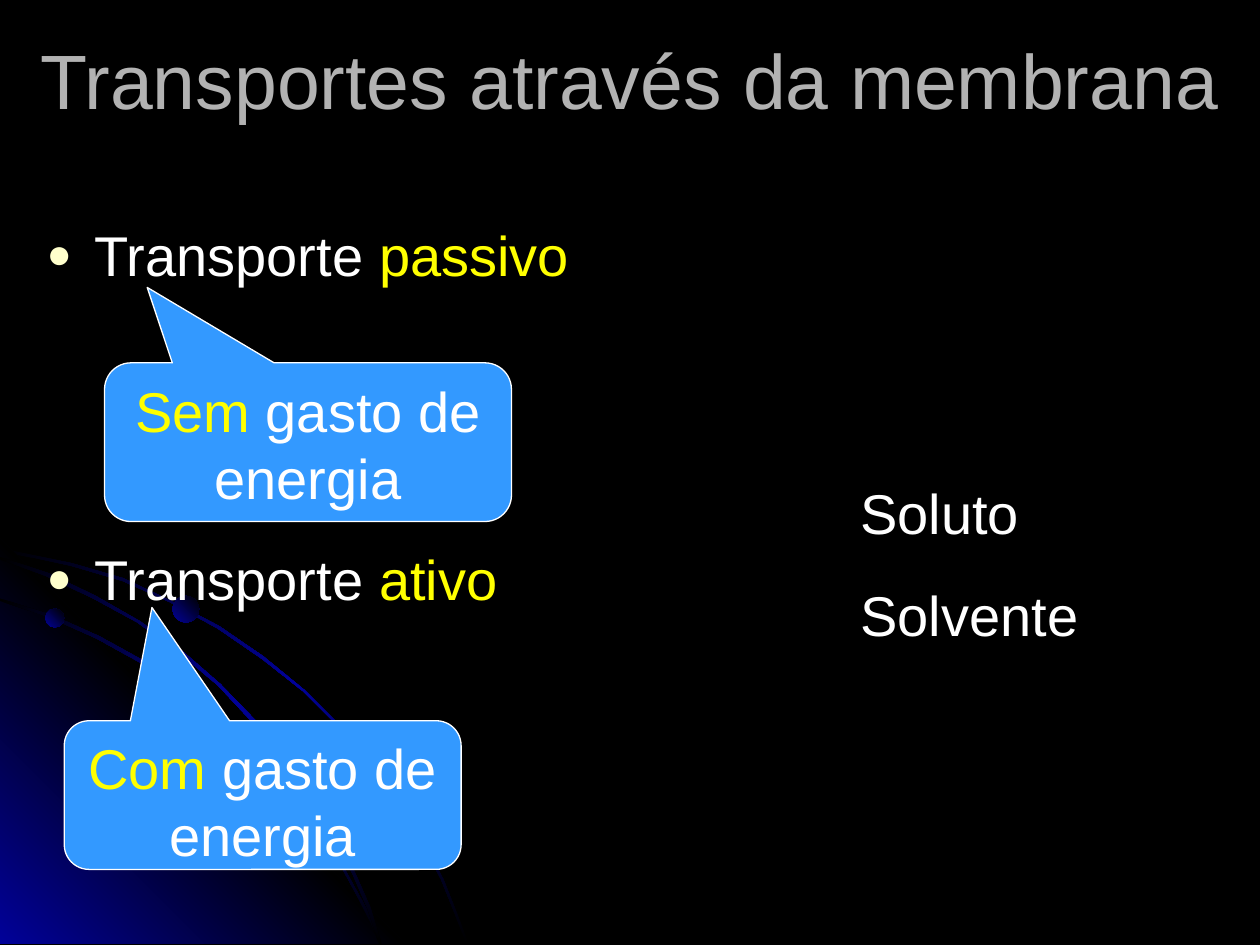
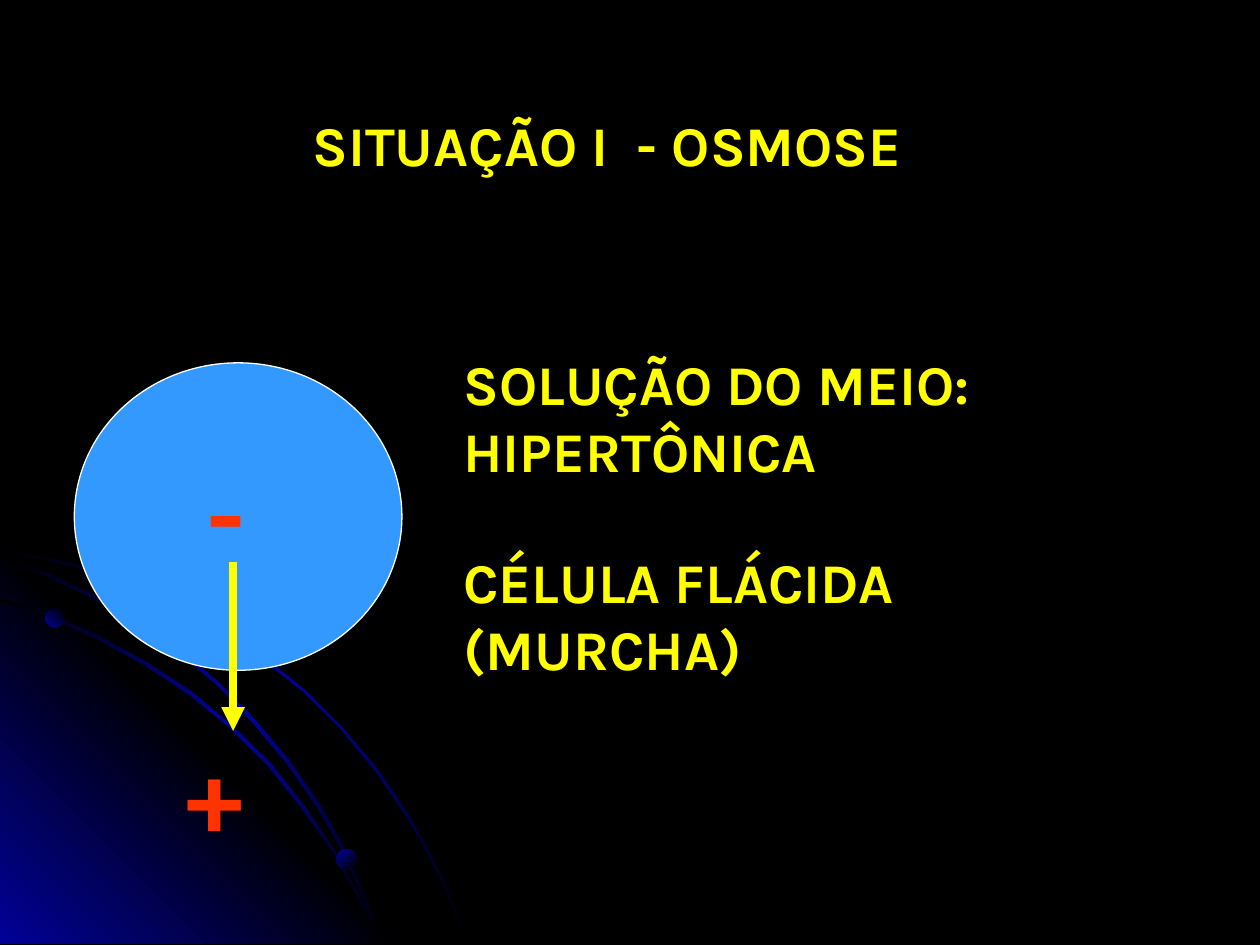
from pptx import Presentation
from pptx.dml.color import RGBColor
from pptx.enum.shapes import MSO_CONNECTOR as Connector, MSO_SHAPE as Preset
from pptx.enum.text import MSO_ANCHOR as Anchor, MSO_AUTO_SIZE as AutoSize, PP_ALIGN as Align
from pptx.oxml import parse_xml
from pptx.oxml.ns import nsdecls, qn
from pptx.util import Inches, Pt

BLACK, NAVY, WHITE = "000000", "010199", "FFFFFF"
YELLOW, GRAY, BLUE = "FFFF00", "B2B2B2", "3399FF"
CREAM, RED = "FFFFCC", "FF3300"
LINE_HEIGHT = 38.3

GLOW = (NAVY, BLACK)
STREAK = (BLACK, NAVY, BLACK)

UPPER_ORBIT = [
    (0.57, 4.47), (0.28, 4.41), (0, 4.35), (0, 4.38), (0.28, 4.43), (0.56, 4.49),
    (0.97, 4.61), (1.35, 4.78), (1.73, 4.99), (2.08, 5.23), (2.41, 5.49), (2.71, 5.79),
    (2.98, 6.12), (3.23, 6.49), (3.37, 6.73), (3.5, 6.98), (3.6, 7.23), (3.7, 7.49),
    (3.72, 7.49), (3.62, 7.23), (3.52, 6.98), (3.39, 6.73), (3.25, 6.48), (3, 6.11),
    (2.72, 5.78), (2.42, 5.48), (2.09, 5.21), (1.74, 4.97), (1.36, 4.77), (0.98, 4.59)]
CORNER = [(3.22, 7.49), (0, 7.49), (0, 4.27)]
LOWER_ORBIT = [
    (2.85, 7.14), (2.94, 7.32), (3.01, 7.49), (3.03, 7.49), (2.96, 7.3), (2.86, 7.12),
    (2.66, 6.76), (2.42, 6.4), (2.15, 6.06), (1.84, 5.76), (1.52, 5.49), (1.17, 5.26),
    (0.79, 5.05), (0.41, 4.88), (0, 4.75), (0, 4.77), (0.39, 4.9), (0.77, 5.07),
    (1.15, 5.28), (1.5, 5.51), (1.83, 5.78), (2.13, 6.08), (2.4, 6.42), (2.65, 6.77)]
MIDDLE_ORBIT = [
    (0, 4.42), (0, 4.44), (0.36, 4.57), (0.74, 4.75), (1.09, 4.94), (1.42, 5.18),
    (1.73, 5.44), (2.02, 5.75), (2.27, 6.05), (2.52, 6.41), (2.67, 6.67), (2.8, 6.94),
    (2.92, 7.22), (3.01, 7.49), (3.03, 7.49), (2.94, 7.2), (2.82, 6.93), (2.69, 6.65),
    (2.54, 6.39), (2.29, 6.03), (2.04, 5.73), (1.75, 5.43), (1.44, 5.16), (1.11, 4.93),
    (0.76, 4.73), (0.39, 4.55)]


def color(value):
    return RGBColor.from_string(value)


def inches(values):
    return [Inches(value) for value in values]


class Deck:
    def __init__(self):
        self.presentation = Presentation()
        self.presentation.slide_width = Inches(10)
        self.presentation.slide_height = Inches(7.5)
        self.slide = None

    def new_slide(self, layout):
        self.slide = self.presentation.slides.add_slide(self.presentation.slide_layouts[layout])

    def place(self, shape, box):
        shape.left, shape.top, shape.width, shape.height = inches(box)

    def add_runs(self, paragraph, runs, size=32, font="Arial", bold=False):
        if size == 32:
            paragraph.line_spacing = Pt(LINE_HEIGHT)
        for text, shade in runs:
            run = paragraph.add_run()
            run.text = text
            run.font.name = font
            run.font.size = Pt(size)
            run.font.bold = bold
            run.font.color.rgb = color(shade)

    def frame(self, shape, anchor=Anchor.TOP):
        text_frame = shape.text_frame
        text_frame.word_wrap = True
        text_frame.auto_size = AutoSize.NONE
        text_frame.vertical_anchor = anchor
        return text_frame

    def title(self, box, text, shade, align, anchor, **style):
        shape = self.slide.shapes.title
        self.place(shape, box)
        paragraph = self.frame(shape, anchor).paragraphs[0]
        paragraph.alignment = align
        self.add_runs(paragraph, [(text, shade)], **style)

    def bullets(self, box, items, gap):
        shape = self.slide.placeholders[1]
        self.place(shape, box)
        text_frame = self.frame(shape)
        for index, runs in enumerate(items):
            paragraph = text_frame.add_paragraph() if index else text_frame.paragraphs[0]
            properties = paragraph._p.get_or_add_pPr()
            properties.set("marL", str(Inches(0.38)))
            properties.set("indent", str(-Inches(0.38)))
            for markup in (f'<a:buClr {nsdecls("a")}><a:srgbClr val="{CREAM}"/></a:buClr>',
                           f'<a:buSzPct {nsdecls("a")} val="75000"/>',
                           f'<a:buChar {nsdecls("a")} char="●"/>'):
                properties.append(parse_xml(markup))
            paragraph.space_before = Pt(gap if index else 0)
            self.add_runs(paragraph, runs)

    def text(self, box, lines, shade, gap=0, **style):
        text_frame = self.frame(self.slide.shapes.add_textbox(*inches(box)))
        for index, line in enumerate(lines):
            paragraph = text_frame.add_paragraph() if index else text_frame.paragraphs[0]
            paragraph.space_before = Pt(gap if index else 0)
            self.add_runs(paragraph, [(line, shade)], **style)

    def shape(self, preset, box):
        shape = self.slide.shapes.add_shape(preset, *inches(box))
        shape.shadow.inherit = False
        shape.fill.solid()
        shape.fill.fore_color.rgb = color(BLUE)
        shape.line.color.rgb = color(WHITE)
        shape.line.width = Pt(0.75)
        return shape

    def callout(self, box, pointer, runs):
        shape = self.shape(Preset.ROUNDED_RECTANGULAR_CALLOUT, box)
        for index, value in enumerate((*pointer, 0.167)):
            shape.adjustments[index] = value
        paragraph = self.frame(shape).paragraphs[0]
        paragraph.alignment = Align.CENTER
        self.add_runs(paragraph, runs)

    def arrow(self, start, end):
        connector = self.slide.shapes.add_connector(Connector.STRAIGHT, *inches(start + end))
        connector.line.color.rgb = color(YELLOW)
        connector.line.width = Pt(4.5)
        properties = connector.element.spPr
        properties.find(qn("a:ln")).append(parse_xml(f'<a:tailEnd {nsdecls("a")} type="triangle"/>'))
        properties.append(parse_xml(f'<a:effectLst {nsdecls("a")}/>'))

    def to_master(self, shape, stops, angle):
        shape.shadow.inherit = False
        shape.line.fill.background()
        last = len(stops) - 1
        marks = "".join(f'<a:gs pos="{100000 * index // last}"><a:srgbClr val="{stop}"/></a:gs>'
                        for index, stop in enumerate(stops))
        shape.element.spPr.insert(2, parse_xml(
            f'<a:gradFill {nsdecls("a")} rotWithShape="1"><a:gsLst>{marks}</a:gsLst>'
            f'<a:lin ang="{angle * 60000}" scaled="1"/></a:gradFill>'))
        self.presentation.slide_master.shapes.element.append(shape.element)

    def backdrop(self):
        fill = self.presentation.slide_master.background.fill
        fill.solid()
        fill.fore_color.rgb = color(BLACK)
        for outline, stops, angle in ((UPPER_ORBIT, STREAK, 45), (CORNER, (NAVY, BLACK, NAVY), 315),
                                      (LOWER_ORBIT, STREAK, 45), (MIDDLE_ORBIT, STREAK, 45)):
            points = [inches(point) for point in outline]
            builder = self.slide.shapes.build_freeform(*points[0])
            builder.add_line_segments(points[1:], close=True)
            self.to_master(builder.convert_to_shape(), stops, angle)
        for left, top, size, angle in ((0.36, 4.83, 0.15, 315), (2.67, 6.74, 0.16, 45),
                                       (1.37, 4.73, 0.21, 315)):
            planet = self.slide.shapes.add_shape(Preset.OVAL, *inches((left, top, size, size)))
            self.to_master(planet, GLOW, angle)


def transport_slide(deck):
    deck.title((0, 0, 10, 1.25), "Transportes através da membrana", GRAY,
               Align.CENTER, Anchor.MIDDLE, size=44)
    deck.bullets((0.27, 1.7, 9.73, 5.32),
                 [[("Transporte ", WHITE), (kind, YELLOW)] for kind in ("passivo", "ativo")], 147)
    for box, pointer, word in (((0.83, 2.88, 3.23, 1.26), (-0.395, -0.975), "Sem"),
                               ((0.51, 5.72, 3.15, 1.18), (-0.279, -1.262), "Com")):
        deck.callout(box, pointer, [(word, YELLOW), (" gasto de energia", WHITE)])
    deck.text((6.73, 3.75, 2.12, 1.45), ["Soluto", "Solvente"], WHITE, gap=20)


def osmosis_slide(deck):
    karla = {"font": "Karla", "bold": True}
    deck.shape(Preset.OVAL, (0.59, 2.88, 2.6, 2.44))
    deck.title((2.38, 0.83, 5.11, 0.64), "SITUAÇÃO I  - OSMOSE", YELLOW,
               Align.LEFT, Anchor.TOP, **karla)
    deck.text((3.58, 2.73, 6.22, 1.7), ["SOLUÇÃO DO MEIO: HIPERTÔNICA"], YELLOW, **karla)
    deck.text((3.58, 4.3, 5.36, 1.98), ["CÉLULA FLÁCIDA (MURCHA)"], YELLOW, **karla)
    deck.arrow((1.85, 4.46), (1.85, 5.8))
    for left, top, sign in ((1.54, 3.51, "-"), (1.38, 5.72, "+")):
        deck.text((left, top, 0.94, 1.1), [sign], RED, size=60, **karla)


def main():
    deck = Deck()
    deck.new_slide(1)
    deck.backdrop()
    transport_slide(deck)
    deck.new_slide(5)
    osmosis_slide(deck)
    deck.presentation.save("out.pptx")


if __name__ == "__main__":
    main()
